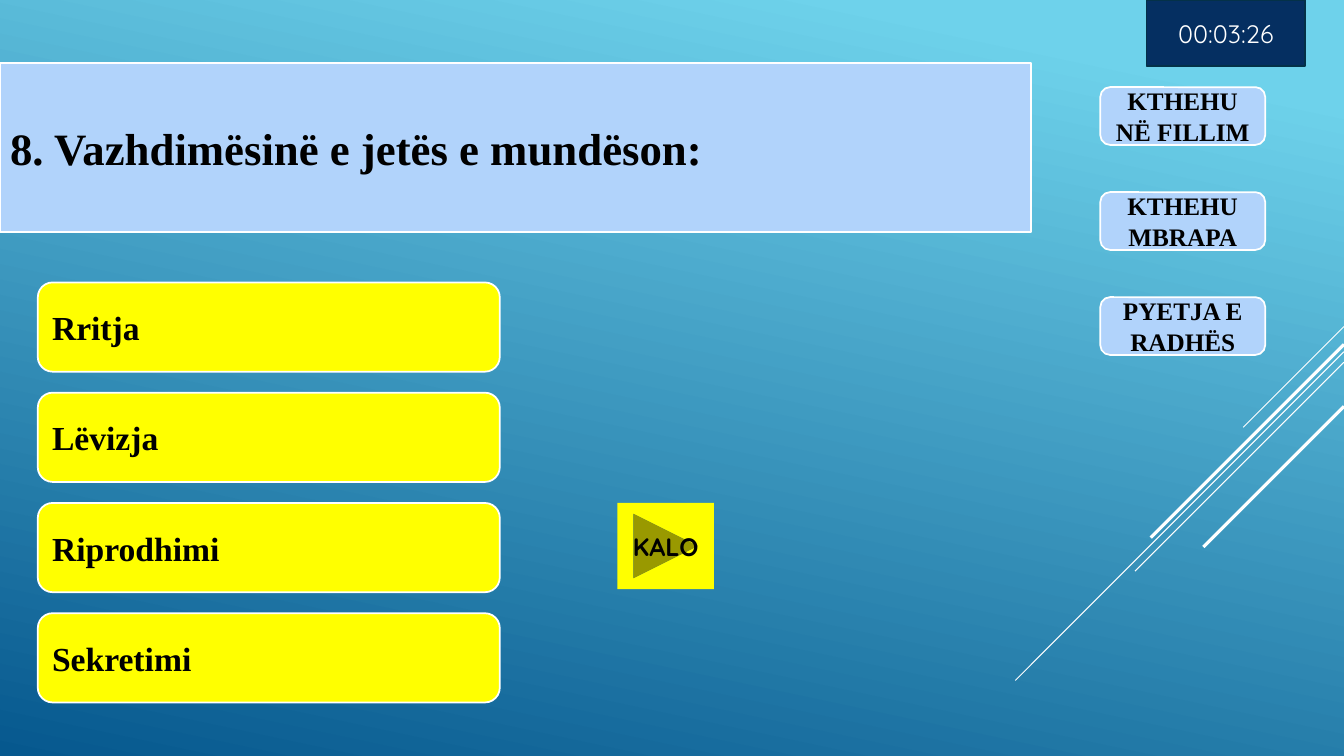
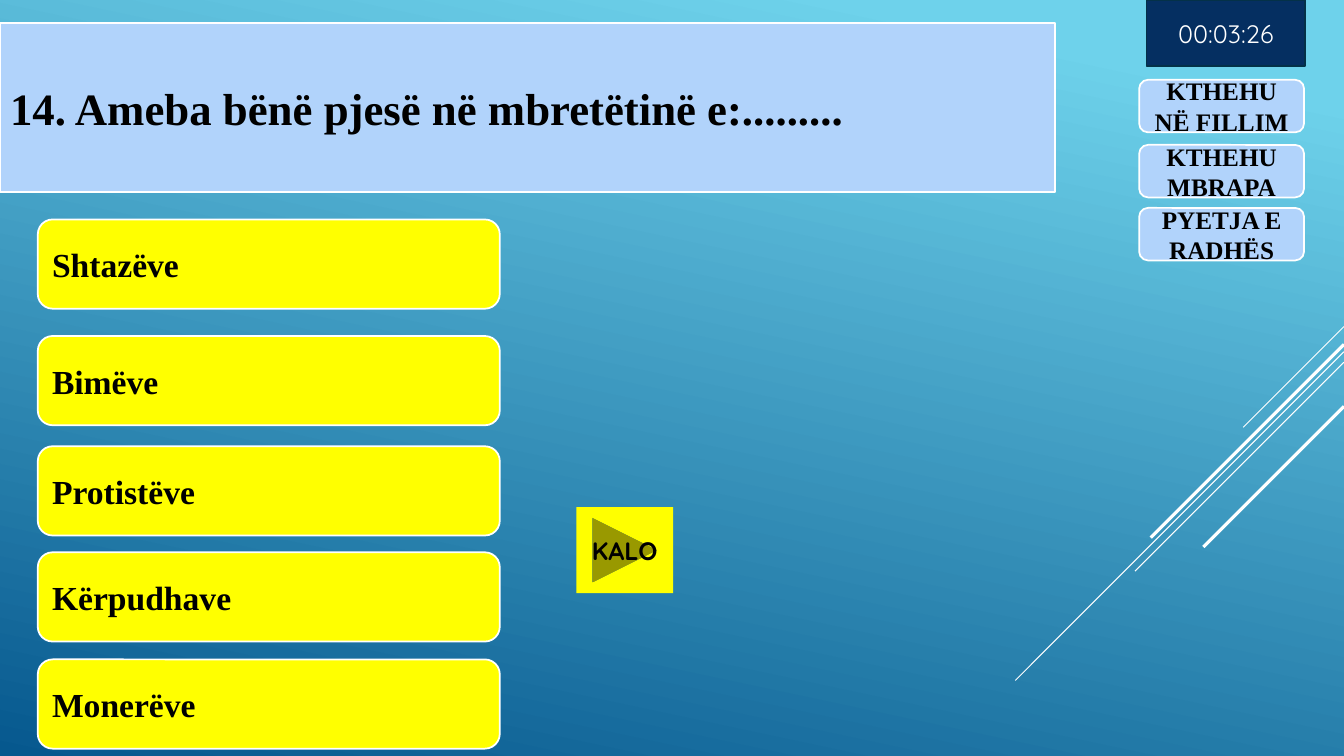
from dataclasses import dataclass

from lxml import etree
from pptx import Presentation
from pptx.dml.color import RGBColor
from pptx.enum.shapes import MSO_CONNECTOR, MSO_SHAPE
from pptx.enum.text import MSO_ANCHOR, MSO_AUTO_SIZE, PP_ALIGN
from pptx.oxml.ns import qn
from pptx.util import Pt

PX = 9525
RECT = MSO_SHAPE.RECTANGLE
ROUND = MSO_SHAPE.ROUNDED_RECTANGLE
NEXT = MSO_SHAPE.ACTION_BUTTON_FORWARD_OR_NEXT
LEFT, CENTER = PP_ALIGN.LEFT, PP_ALIGN.CENTER
MIDDLE = MSO_ANCHOR.MIDDLE
FIXED = MSO_AUTO_SIZE.NONE
STRAIGHT = MSO_CONNECTOR.STRAIGHT


@dataclass(frozen=True)
class Theme:
    sky: str = "6ED2EB"
    deep: str = "06588E"
    pale: str = "B1D3FB"
    yellow: str = "FFFF00"
    navy: str = "052F61"
    rim: str = "043148"
    white: str = "FFFFFF"
    black: str = "000000"
    serif: str = "Times New Roman"
    sans: str = "Quicksand"
    head: int = 32
    body: int = 24
    small: int = 18
    edge: float = 1.25
    thin: float = 0.75
    thick: float = 2.25


T = Theme()


def rgb(code):
    return RGBColor.from_string(code)


def write(shape, text, *, fill, edge=T.white, size=T.small, font=T.serif,
          color=T.black, bold=True, align=CENTER):
    shape.shadow.inherit = False
    shape.fill.solid()
    shape.fill.fore_color.rgb = rgb(fill)
    if edge:
        shape.line.color.rgb = rgb(edge)
        shape.line.width = Pt(T.edge)
    else:
        shape.line.fill.background()
    frame = shape.text_frame
    frame.auto_size = FIXED
    frame.word_wrap = True
    frame.vertical_anchor = MIDDLE
    frame.text = text
    para = frame.paragraphs[0]
    para.alignment = align
    run = para.runs[0].font
    run.size, run.name, run.bold = Pt(size), font, bold
    run.color.rgb = rgb(color)


deck = Presentation()
deck.slide_width, deck.slide_height = 1280 * PX, 720 * PX
master = deck.slide_master
layout = deck.slide_layouts[5]

back = master.background.fill
back.gradient()
back.gradient_angle = 258
for stop, place, color in zip(back.gradient_stops, (0.1, 1), (T.sky, T.deep)):
    stop.position = place
    stop.color.rgb = rgb(color)

rays = [(311, 96, T.thin), (335, 313, T.thin), (345, 199, T.thin),
        (328, 184, T.thick), (387, 134, T.thick)]

links = ["KTHEHU NË FILLIM", "KTHEHU MBRAPA", "PYETJA E RADHËS"]

quiz = [
    {"ask": "8. Vazhdimësinë e jetës e mundëson:",
     "head": (60, 982),
     "items": ["Rritja", "Lëvizja", "Riprodhimi", "Sekretimi"],
     "rows": range(269, 585, 105),
     "nav": (1048, 55), "tops": range(83, 284, 100),
     "skip": (588, 479)},
    {"ask": "14. Ameba bënë pjesë në mbretëtinë e:.........",
     "head": (22, 1005),
     "items": ["Shtazëve", "Bimëve", "Protistëve", "Kërpudhave", "Monerëve"],
     "rows": [209, 320, 425, 526, 628],
     "nav": (1085, 50), "tops": [76, 138, 198],
     "skip": (549, 483)},
]

for page in quiz:
    slide = deck.slides.add_slide(layout)
    top, width = page["head"]
    title = slide.shapes.title
    title.left, title.top = 0, top * PX
    title.width, title.height = width * PX, 161 * PX
    geom = etree.SubElement(title.element.spPr, qn("a:prstGeom"), prst="roundRect")
    etree.SubElement(geom, qn("a:avLst"))
    write(title, page["ask"], fill=T.pale, size=T.head, align=LEFT)

    answer = {"fill": T.yellow, "size": T.body, "align": LEFT}
    boxes = [(ROUND, (36, y, 440, 85), text, answer)
             for y, text in zip(page["rows"], page["items"])]
    x, tall = page["nav"]
    boxes += [(ROUND, (x, y, 157, tall), text, {"fill": T.pale})
              for y, text in zip(page["tops"], links)]
    boxes += [
        (NEXT, (*page["skip"], 92, 82), "KALO",
         {"fill": T.yellow, "edge": None, "font": T.sans}),
        (RECT, (1092, 0, 151, 63), "00:03:26",
         {"fill": T.navy, "edge": T.rim, "font": T.sans,
          "color": T.white, "bold": False}),
    ]
    for kind, area, text, style in boxes:
        shape = slide.shapes.add_shape(kind, *(n * PX for n in area))
        write(shape, text, **style)

for key, (top, run, weight) in enumerate(rays, 20):
    ray = slide.shapes.add_connector(
        STRAIGHT, 1280 * PX, top * PX, (1280 - run) * PX, (top + run) * PX)
    ray.line.color.rgb = rgb(T.white)
    ray.line.width = Pt(weight)
    etree.SubElement(ray.element.spPr, qn("a:effectLst"))
    ray.element.nvCxnSpPr.cNvPr.set("id", str(key))
    master.shapes.element.append(ray.element)

deck.save("out.pptx")
